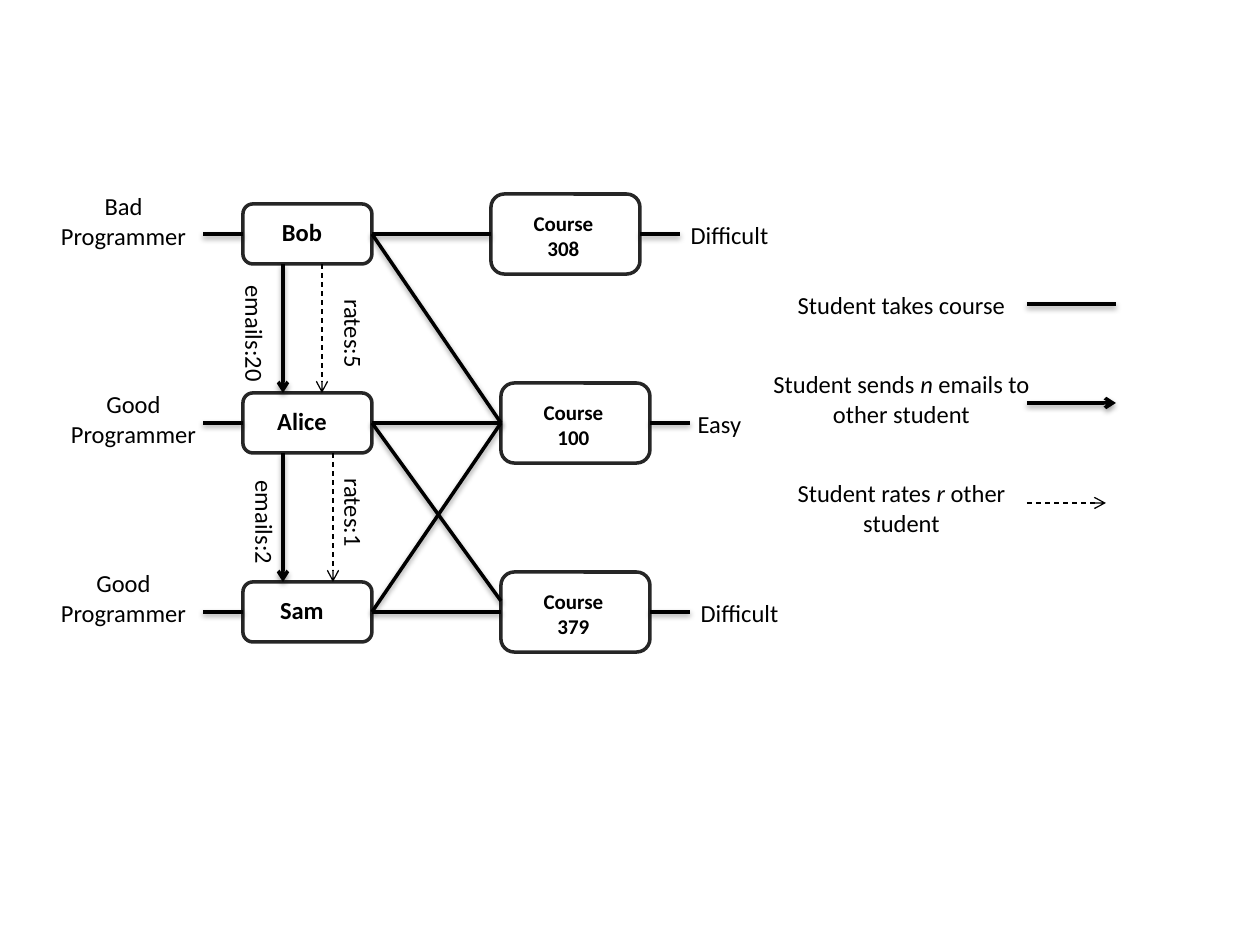
from lxml import etree
from pptx import Presentation
from pptx import util as u
from pptx.dml.color import RGBColor
from pptx.enum import dml, shapes, text
from pptx.oxml import parse_xml
from pptx.oxml.ns import nsdecls, qn

PX = u.Inches(1) // 126
BLACK = RGBColor(0, 0, 0)
WHITE = RGBColor(255, 255, 255)
EDGE = RGBColor(0x26, 0x26, 0x26)
LEFT, RIGHT = 1, 3  # connection sites

TOP, STEP = 234, 189  # centre of the first row, row pitch
STUD_X, STUD_W, STUD_H = 243, 129, 60
COURSE_W, COURSE_H = 149, 80
STUB = 40

# name, skill, left and top of the skill text
STUDENTS = [("Bob", "Bad Programmer", 44, 185),
            ("Alice", "Good\nProgrammer", 54, 383),
            ("Sam", "Good Programmer", 44, 562)]
# number, left of the box, level, left of the level text
COURSES = [("308", 491, "Difficult", 650),
           ("100", 501, "Easy", 640),
           ("379", 501, "Difficult", 660)]
TAKES = [(0, 0), (0, 1), (2, 1), (1, 1), (2, 2)]  # student, course
# from student, arrow x, dashed, text, left and top of the text
ARROWS = [(0, 283, False, "emails:20", 185, 312),
          (0, 322, True, "rates:5", 284, 312),
          (1, 333, True, "rates:1", 284, 491),
          (1, 283, False, "emails:2", 195, 501)]
# text, its top and height, line y, line end, arrow, dashed
LEGEND = [("Student takes course", 284, 43, 304, 1116, False, False),
          ("Student sends *n* emails to other student",
           363, 72, 403, 1116, True, False),
          ("Student rates *r* other student",
           472, 72, 503, 1106, True, True)]

SHADOW = (f'<a:effectLst {nsdecls("a")}><a:outerShdw blurRad="40000" '
          'dist="20000" dir="5400000" rotWithShape="0"><a:srgbClr '
          'val="000000"><a:alpha val="38000"/></a:srgbClr></a:outerShdw>'
          '</a:effectLst>')
PLAIN = f'<a:effectLst {nsdecls("a")}/>'

prs = Presentation()
prs.slide_width, prs.slide_height = u.Inches(10), u.Inches(7.5)
slide = prs.slides.add_slide(prs.slide_layouts[6])


def write(words, x, y, w, h, size=14, bold=False, mid=False, turn=0):
    """Add centred text; words between asterisks are italic."""
    box = slide.shapes.add_textbox(x * PX, y * PX, w * PX, h * PX)
    box.rotation = turn
    frame = box.text_frame
    frame.word_wrap = True
    if mid:
        frame.vertical_anchor = text.MSO_ANCHOR.MIDDLE
        frame.margin_left = frame.margin_right = 0
    else:
        frame.auto_size = text.MSO_AUTO_SIZE.SHAPE_TO_FIT_TEXT
    for i, row in enumerate(words.split("\n")):
        para = frame.paragraphs[0] if i == 0 else frame.add_paragraph()
        para.alignment = text.PP_ALIGN.CENTER
        for j, part in enumerate(row.split("*")):
            run = para.add_run()
            run.text = part
            font = run.font
            font.name, font.size, font.bold = "Calibri", u.Pt(size), bold
            font.italic = j % 2 == 1
            font.color.rgb = BLACK


def node(x, mid, w, h):
    box = slide.shapes.add_shape(
        shapes.MSO_SHAPE.ROUNDED_RECTANGLE,
        x * PX, (mid - h // 2) * PX, w * PX, h * PX)
    box.shadow.inherit = False
    box.fill.solid()
    box.fill.fore_color.rgb = WHITE
    box.line.color.rgb = EDGE
    box.line.width = u.Pt(2)
    return box


def link(x1, y1, x2, y2, start=None, end=None, arrow=False, dashed=False):
    """Draw a line; start and end are (shape, site) pairs to join."""
    line = slide.shapes.add_connector(
        shapes.MSO_CONNECTOR.STRAIGHT, x1 * PX, y1 * PX, x2 * PX, y2 * PX)
    if start:
        line.begin_connect(*start)
    if end:
        line.end_connect(*end)
    line.line.color.rgb = BLACK
    line.line.width = u.Pt(0.75 if dashed else 2)
    if dashed:
        line.line.dash_style = dml.MSO_LINE.DASH
    props = line._element.spPr
    if arrow:
        etree.SubElement(props.find(qn("a:ln")), qn("a:tailEnd"), type="arrow")
    props.append(parse_xml(PLAIN if dashed else SHADOW))


rows = [TOP + STEP * i for i in range(3)]
edge = STUD_X + STUD_W

studs = []
for mid, (name, skill, x, y) in zip(rows, STUDENTS):
    box = node(STUD_X, mid, STUD_W, STUD_H)
    studs.append(box)
    write(name, 264, mid - 24, 76, 43, bold=True, mid=True)
    link(STUD_X, mid, STUD_X - STUB, mid, start=(box, LEFT))
    write(skill, x, y, 159, 72)

courses = []
for mid, (num, x, level, tx) in zip(rows, COURSES):
    box = node(x, mid, COURSE_W, COURSE_H)
    courses.append(box)
    write(f"Course\n{num}", x + 29, mid - 30, 87, 63,
          size=12, bold=True, mid=True)
    end = x + COURSE_W
    link(end, mid, end + STUB, mid, start=(box, RIGHT))
    write(level, tx, mid - 20, 159, 43)

for s, c in TAKES:
    link(COURSES[c][1], rows[c], edge, rows[s],
         start=(courses[c], LEFT), end=(studs[s], RIGHT))
# Alice's line to 379 lands just above the middle of the side
link(COURSES[2][1], rows[2] - 11, edge, rows[1], end=(studs[1], RIGHT))

for s, x, dashed, words, tx, ty in ARROWS:
    link(x, rows[s] + STUD_H // 2, x, rows[s + 1] - STUD_H // 2,
         arrow=True, dashed=dashed)
    write(words, tx, ty, 139, 43, turn=90)

for words, y, h, mid, end, arrow, dashed in LEGEND:
    link(1027, mid, end, mid, arrow=arrow, dashed=dashed)
    write(words, 758, y, 287, h)

prs.save("out.pptx")
